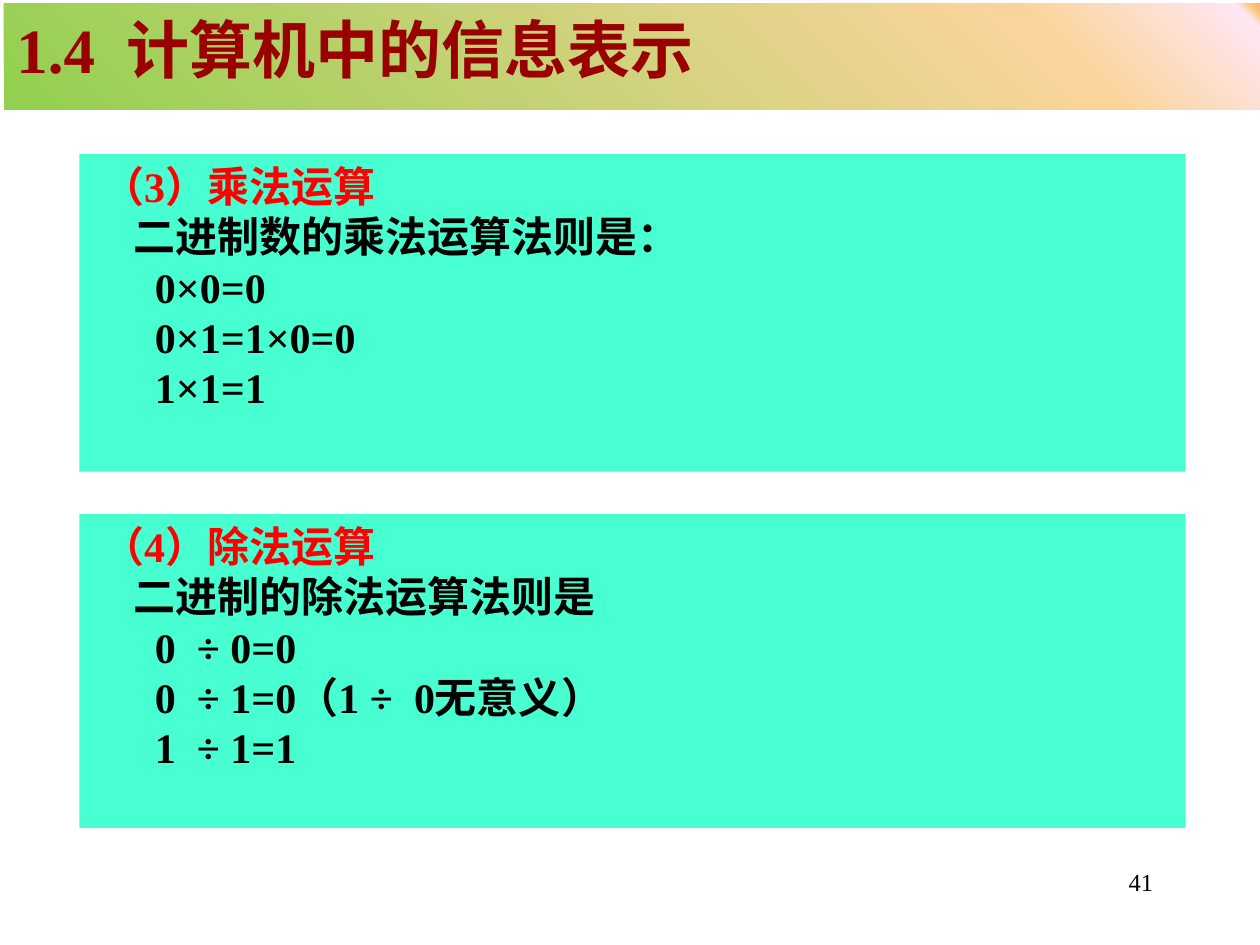
import pptx
import pptx.dml.color
import pptx.enum.text
import pptx.oxml
import pptx.oxml.ns
import pptx.util

RGB = pptx.dml.color.RGBColor
MSO_ANCHOR = pptx.enum.text.MSO_ANCHOR
PP_ALIGN = pptx.enum.text.PP_ALIGN

MINT = RGB(0x47, 0xFF, 0xD1)
RED = RGB(0xFF, 0x00, 0x00)
MAROON = RGB(0x99, 0x00, 0x00)
BLACK = RGB(0x00, 0x00, 0x00)
GREEN = RGB(0x92, 0xD0, 0x50)
SAND = RGB(0xFB, 0xD4, 0x9C)
PINK = RGB(0xFE, 0xE7, 0xF2)
AMBER = RGB(0xFA, 0xC7, 0x7D)
CORAL = RGB(0xFB, 0xA9, 0x7D)
BANNER = [(0, GREEN), (82, SAND), (98, PINK), (99, AMBER), (100, CORAL), (100, PINK)]


def write(p, text, size=24, color=BLACK, bold=True, align=PP_ALIGN.LEFT,
          indent=0, pitch=None):
    """Fill a paragraph with unbulleted text."""
    pPr = p._p.get_or_add_pPr()
    pPr.set("marL", str(pptx.util.Inches(indent)))
    pPr.set("indent", "0")
    pptx.oxml.ns.qn("a:buNone")
    pPr.append(pptx.oxml.parse_xml(
        f'<a:buNone {pptx.oxml.ns.nsdecls("a")}/>'))
    p.alignment = align
    p.space_before = pptx.util.Pt(0)
    if pitch:
        p.line_spacing = pptx.util.Pt(pitch)
    r = p.add_run()
    r.text = text
    r.font.name = "Times New Roman"
    r.font.size = pptx.util.Pt(size)
    r.font.bold = bold
    r.font.color.rgb = color


class Deck:
    """Holds the presentation and its current slide; lengths are slide shares."""

    def __init__(self, prs, layout):
        self.prs = prs
        self.s = prs.slides.add_slide(prs.slide_layouts[layout])

    def box(self, x, y, w, h):
        width, height = self.prs.slide_width, self.prs.slide_height
        return [int(v) for v in (x * width, y * height, w * width, h * height)]

    def place(self, sp, *shares):
        sp.left, sp.top, sp.width, sp.height = self.box(*shares)
        tf = sp.text_frame
        tf.word_wrap = True
        tf.auto_size = pptx.enum.text.MSO_AUTO_SIZE.NONE
        tf.vertical_anchor = MSO_ANCHOR.TOP
        return tf

    def title(self, text, shares, stops):
        sp = self.s.shapes.title
        tf = self.place(sp, *shares)
        sp.fill.gradient()
        sp.fill.gradient_angle = 45
        # Replace the two preset stops with the banner's own
        gs_list = sp._element.spPr.find(".//" + pptx.oxml.ns.qn("a:gsLst"))
        gs_list.clear()
        for pos, color in stops:
            gs_list.append(pptx.oxml.parse_xml(
                f'<a:gs {pptx.oxml.ns.nsdecls("a")} pos="{pos * 1000}">'
                f'<a:srgbClr val="{color}"/></a:gs>'))
        write(tf.paragraphs[0], text, size=36, color=MAROON)

    def panel(self, idx, shares, heading, lead, rules):
        sp = self.s.placeholders[idx]
        tf = self.place(sp, *shares)
        sp.fill.solid()
        sp.fill.fore_color.rgb = MINT
        lines = [(heading, RED, 0.08), (lead, BLACK, 0.33)]
        lines += [(rule, BLACK, 0.5) for rule in rules]
        for i, (text, color, indent) in enumerate(lines):
            p = tf.add_paragraph() if i else tf.paragraphs[0]
            write(p, text, color=color, indent=indent, pitch=28.8)

    def page_number(self, text, shares):
        sp = self.s.shapes.add_textbox(*self.box(*shares))
        tf = self.place(sp, *shares)
        write(tf.paragraphs[0], text, size=14, bold=False, align=PP_ALIGN.RIGHT)


def main():
    prs = pptx.Presentation()
    prs.slide_width = pptx.util.Inches(10)
    prs.slide_height = pptx.util.Inches(7.5)
    deck = Deck(prs, layout=3)

    # Banner title
    deck.title("1.4  计算机中的信息表示", (0.003, 0.004, 1, 0.112), BANNER)

    # Multiplication and division panels
    left, width = 0.063, 0.878
    deck.panel(1, (left, 0.163, width, 0.336), "（3）乘法运算",
               "二进制数的乘法运算法则是：",
               ["0×0=0", "0×1=1×0=0", "1×1=1"])
    deck.panel(2, (left, 0.544, width, 0.332), "（4）除法运算",
               "二进制的除法运算法则是",
               ["0  ÷ 0=0", "0  ÷ 1=0（1 ÷  0无意义）", "1  ÷ 1=1"])

    # Page number
    deck.page_number("41", (0.717, 0.911, 0.208, 0.067))

    prs.save("out.pptx")


if __name__ == "__main__":
    main()
